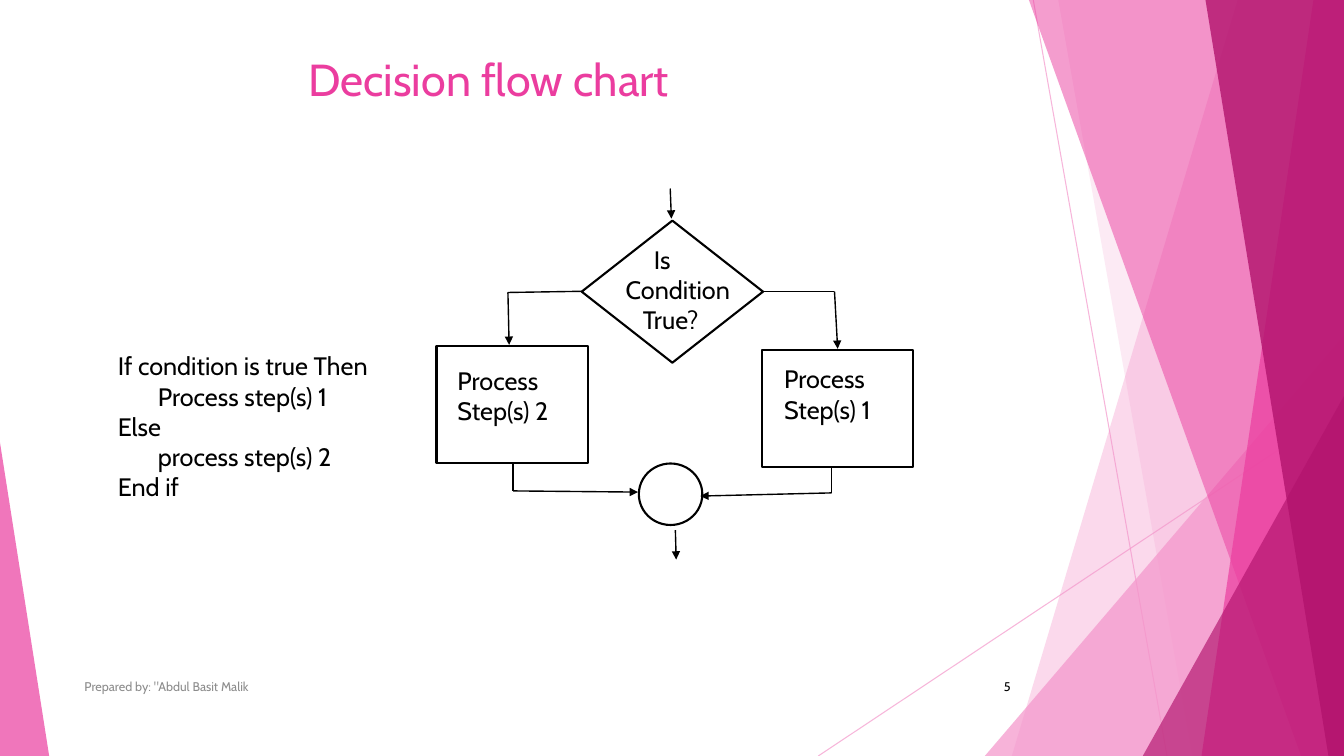
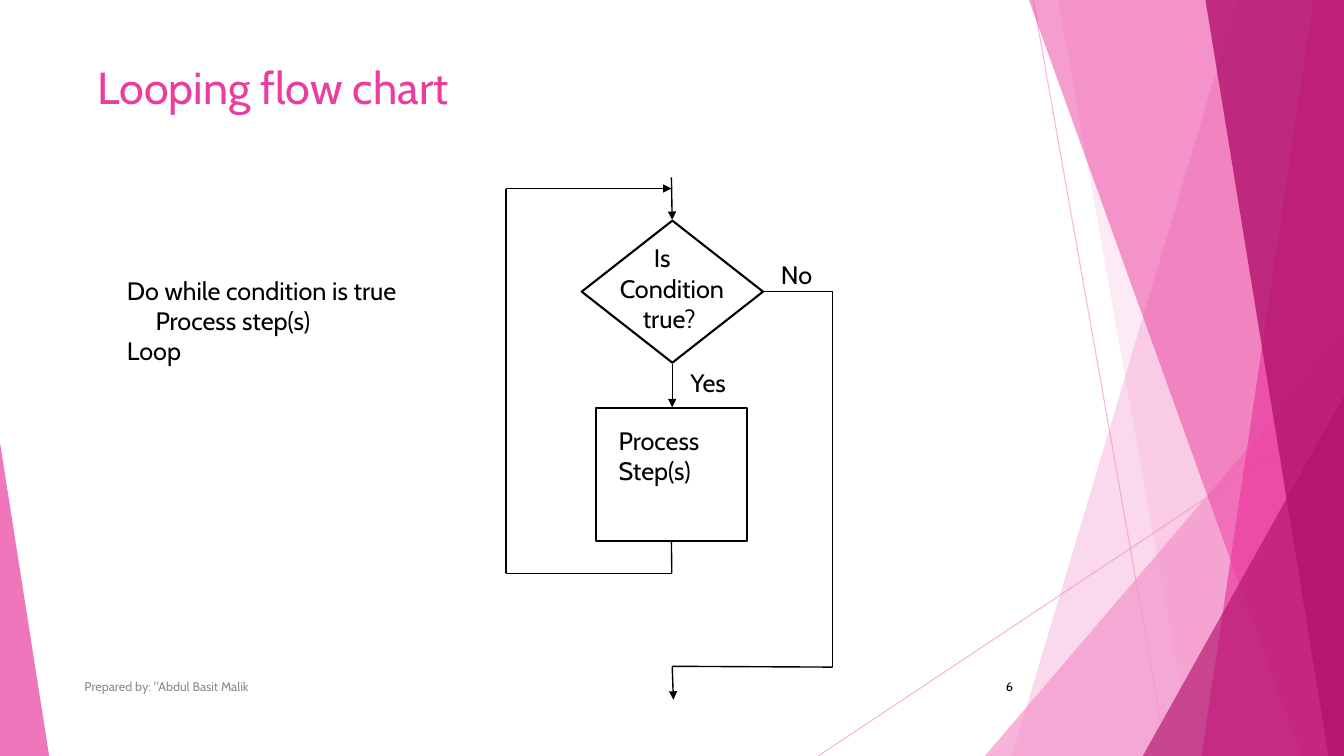
from itertools import pairwise

from lxml import etree
from pptx import Presentation
from pptx import util as u
from pptx.dml.color import RGBColor
from pptx.enum import shapes, text
from pptx.oxml.ns import qn

WIDTH, HEIGHT = 33.87, 19.05
FONT = "Cabin"
BLACK = RGBColor(0x00, 0x00, 0x00)
GREY = RGBColor(0x8C, 0x8C, 0x8C)
WHITE = RGBColor(0xFF, 0xFF, 0xFF)
PALE_PINK = RGBColor(0xF4, 0x96, 0xCB)
PINK = RGBColor(0xEB, 0x3D, 0x9F)
DEEP_PINK = RGBColor(0xB2, 0x13, 0x6D)

DECISION_BOX = (14.66, 5.56, 4.57, 3.58)


def cm(*lengths):
    """Turn plain numbers into centimetre lengths."""
    return [u.Cm(length) for length in lengths]


def set_opacity(shape, percent):
    """Make every colour of a shape partly transparent."""
    for colour in shape._element.spPr.iter(qn("a:srgbClr")):
        etree.SubElement(colour, qn("a:alpha"), val=str(percent * 1000))


def add_line(slide, start, end, colour=BLACK, weight=1, arrow=False):
    """Draw one straight line, with an arrowhead at its end if asked."""
    line = slide.shapes.add_connector(
        shapes.MSO_CONNECTOR.STRAIGHT, *cm(*start, *end))
    line.line.color.rgb = colour
    line.line.width = u.Pt(weight)
    properties = line._element.spPr
    if arrow:
        etree.SubElement(properties.find(qn("a:ln")), qn("a:tailEnd"),
                         type="triangle")
    etree.SubElement(properties, qn("a:effectLst"))
    return line


def add_route(slide, *stops):
    """Join the stops with lines; the last one carries the arrowhead."""
    legs = list(pairwise(stops))
    for number, (start, end) in enumerate(legs, 1):
        add_line(slide, start, end, arrow=number == len(legs))


def paint(shape, colour, opacity):
    """Give a decorative shape a plain translucent fill and no outline."""
    shape.shadow.inherit = False
    shape.fill.solid()
    shape.fill.fore_color.rgb = colour
    shape.line.fill.background()
    set_opacity(shape, opacity)


def add_facet(slide, top_x, bottom_x, colour, opacity):
    """Fill the slide from a slanted left edge to its right border."""
    outline = slide.shapes.build_freeform(*cm(top_x, 0), scale=1.0)
    outline.add_line_segments(
        [cm(WIDTH, 0), cm(WIDTH, HEIGHT), cm(bottom_x, HEIGHT)], close=True)
    paint(outline.convert_to_shape(), colour, opacity)


def add_corner(slide, left, top, width, peak, colour, opacity):
    """Stand a right-angled triangle on the bottom edge."""
    corner = slide.shapes.add_shape(
        shapes.MSO_SHAPE.ISOSCELES_TRIANGLE,
        *cm(left, top, width, HEIGHT - top))
    corner.adjustments[0] = peak
    paint(corner, colour, opacity)


def add_text(slide, box, lines, size=18, colour=BLACK, indents=None,
             align=text.PP_ALIGN.LEFT, anchor=text.MSO_ANCHOR.TOP):
    """Write lines in a box; indents maps a line number to centimetres."""
    frame = slide.shapes.add_textbox(*cm(*box)).text_frame
    frame.word_wrap = True
    frame.vertical_anchor = anchor
    frame.text = "\n".join(lines)
    for number, paragraph in enumerate(frame.paragraphs):
        paragraph.alignment = align
        indent = (indents or {}).get(number)
        if indent:
            paragraph._p.get_or_add_pPr().set("marL", str(u.Cm(indent)))
        for run in paragraph.runs:
            run.font.name = FONT
            run.font.size = u.Pt(size)
            run.font.color.rgb = colour


def add_symbol(slide, kind, box):
    """Draw an unfilled flow chart symbol."""
    symbol = slide.shapes.add_shape(kind, *cm(*box))
    symbol.shadow.inherit = False
    symbol.fill.background()
    symbol.line.color.rgb = BLACK
    symbol.line.width = u.Pt(1.5)


def add_backdrop(slide):
    """Draw the pink facets at the right and the wedge at the left."""
    slide.background.fill.solid()
    slide.background.fill.fore_color.rgb = WHITE
    for start, end in [((26.04, 0), (29.41, HEIGHT)),
                       ((WIDTH, 10.24), (20.62, HEIGHT))]:
        set_opacity(add_line(slide, start, end, PALE_PINK, 0.75), 70)
    add_facet(slide, 31.19, 25.5, PALE_PINK, 36)
    add_facet(slide, 26.67, 30.05, PALE_PINK, 20)
    add_corner(slide, 24.82, 8.46, 9.05, 1, PALE_PINK, 72)
    add_facet(slide, 25.93, 32.79, PINK, 50)
    add_facet(slide, 33.1, 30.28, PINK, 70)
    add_facet(slide, 30.38, 33.48, DEEP_PINK, 80)
    add_corner(slide, 28.8, 9.98, 5.07, 1, DEEP_PINK, 66)
    add_corner(slide, 0, 11.15, 1.24, 0, PINK, 70)


def start_slide(deck, title, title_box, number, number_left):
    """Add a slide with backdrop, title, footer and page number."""
    slide = deck.slides.add_slide(deck.slide_layouts[6])
    add_backdrop(slide)
    add_text(slide, title_box, [title], 32, PINK)
    add_text(slide, (1.88, 16.79, 17.5, 1.02),
             ['Prepared by: "Abdul Basit Malik'], 9, GREY,
             anchor=text.MSO_ANCHOR.MIDDLE)
    add_text(slide, (number_left, 16.79, 1.92, 1.02), [str(number)], 9,
             align=text.PP_ALIGN.RIGHT, anchor=text.MSO_ANCHOR.MIDDLE)
    return slide


def build_decision(deck):
    """Show the two branches of a decision."""
    slide = start_slide(deck, "Decision flow chart",
                        (7.52, 1.19, 10.69, 1.63), 5, 23.8)
    add_symbol(slide, shapes.MSO_SHAPE.FLOWCHART_DECISION, DECISION_BOX)
    for left, top in [(11, 8.71), (19.2, 8.81)]:
        add_symbol(slide, shapes.MSO_SHAPE.RECTANGLE, (left, top, 3.81, 2.95))
    add_symbol(slide, shapes.MSO_SHAPE.OVAL, (16.1, 11.68, 1.6, 1.55))

    add_route(slide, (16.89, 4.75), (16.92, 5.51))
    add_route(slide, (14.66, 7.34), (12.8, 7.37), (12.83, 8.69))
    add_route(slide, (19.25, 7.34), (21.03, 7.34), (21.11, 8.79))
    add_route(slide, (12.93, 11.66), (12.93, 12.37), (16.08, 12.4))
    add_route(slide, (20.96, 11.79), (20.96, 12.42), (17.65, 12.5))
    add_route(slide, (17.02, 13.36), (17.04, 14.1))

    add_text(slide, (2.72, 8.71, 7.49, 4.11),
             ["If condition is true Then", "Process step(s) 1", "Else",
              "process step(s) 2", "End if"], indents={1: 1.01, 3: 1.01})
    add_text(slide, (15.52, 6.02, 3.48, 2.57), ["Is", "Condition", "True?"],
             indents={0: 0.71, 2: 0.43})
    add_text(slide, (11.28, 9.07, 3.07, 1.8), ["Process", "Step(s) 2"])
    add_text(slide, (19.51, 9.04, 3.35, 1.8), ["Process", "Step(s) 1"])


def build_loop(deck):
    """Show a step repeated while a condition holds."""
    slide = start_slide(deck, "Looping flow chart",
                        (2.21, 1.37, 10.06, 1.63), 6, 23.86)
    add_symbol(slide, shapes.MSO_SHAPE.RECTANGLE, (15.01, 10.29, 3.81, 3.35))
    add_symbol(slide, shapes.MSO_SHAPE.FLOWCHART_DECISION, DECISION_BOX)

    add_route(slide, (16.92, 4.47), (16.94, 5.54))
    add_route(slide, (16.94, 9.17), (16.94, 10.26))
    add_route(slide, (16.92, 13.61), (16.93, 14.45), (12.75, 14.45),
              (12.75, 4.75), (16.92, 4.75))
    add_route(slide, (19.23, 7.34), (20.98, 7.34), (20.98, 16.81),
              (16.94, 16.79), (16.97, 17.63))

    add_text(slide, (2.95, 6.81, 7.87, 2.57),
             ["Do while condition is true", "Process step(s)", "Loop"],
             indents={1: 0.72})
    add_text(slide, (15.37, 5.99, 3.25, 2.57), ["Is", "Condition", "true?"],
             indents={0: 0.86, 2: 0.58})
    add_text(slide, (15.34, 10.59, 3, 1.8), ["Process", "Step(s)"])
    add_text(slide, (19.43, 6.4, 1.73, 1.02), ["No"])
    add_text(slide, (17.15, 9.12, 1.6, 1.02), ["Yes"])


def main():
    """Build the deck and save it."""
    deck = Presentation()
    deck.slide_width, deck.slide_height = cm(WIDTH, HEIGHT)
    build_decision(deck)
    build_loop(deck)
    deck.save("out.pptx")


main()
